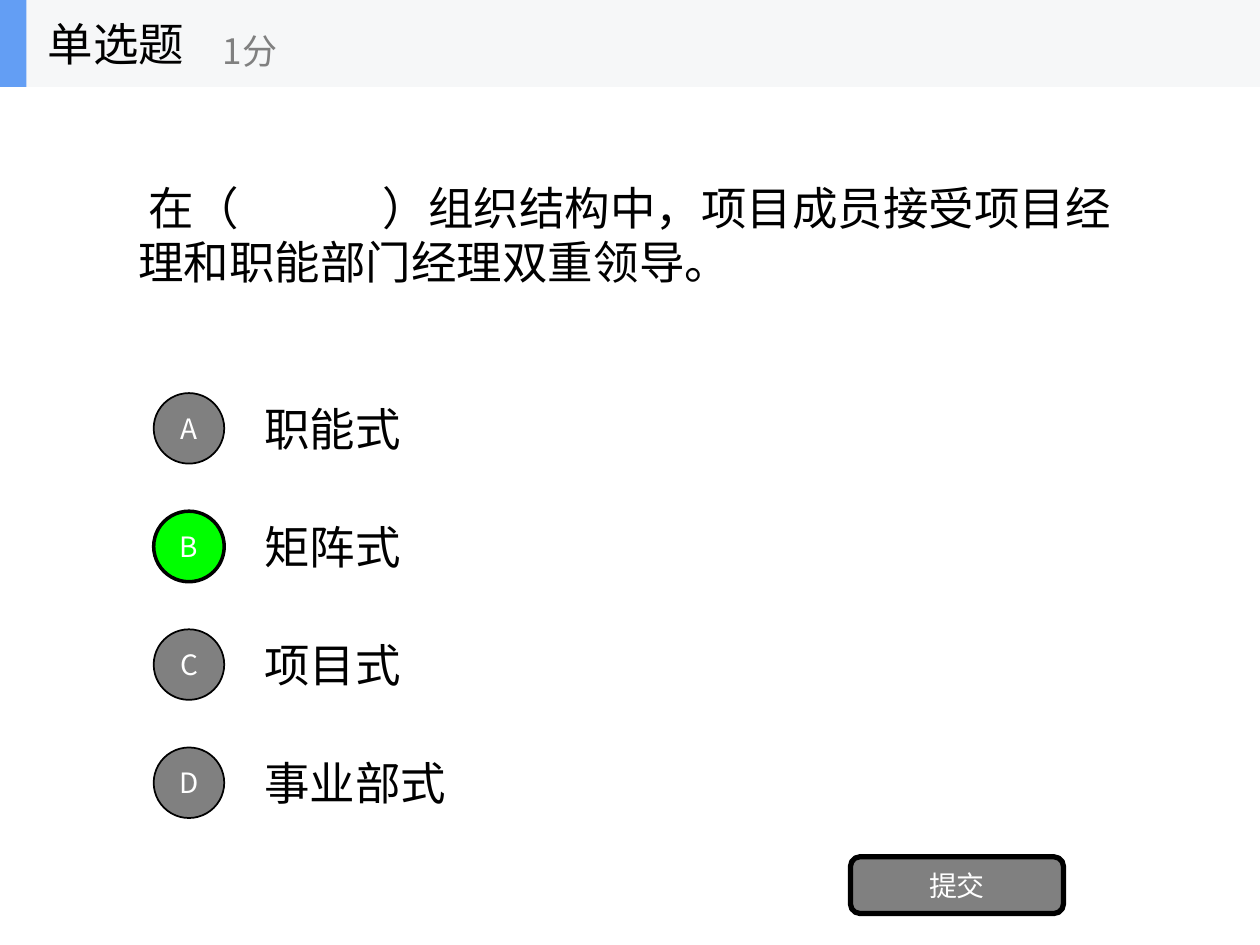
from lxml import etree
from pptx import Presentation
from pptx.dml.color import RGBColor
from pptx.enum.shapes import MSO_SHAPE
from pptx.enum.text import MSO_ANCHOR, PP_ALIGN
from pptx.oxml.ns import qn
from pptx.util import Inches, Pt

RECT, OVAL, ROUND = MSO_SHAPE.RECTANGLE, MSO_SHAPE.OVAL, MSO_SHAPE.ROUNDED_RECTANGLE
MIDDLE, CENTER = MSO_ANCHOR.MIDDLE, PP_ALIGN.CENTER

FONT = "Noto Sans CJK SC"
BLACK, WHITE, GRAY, GREEN = "000000", "FFFFFF", "808080", "00FF00"
PALE, BLUE = "F6F7F8", "639EF4"

TITLE, SCORE = "单选题", "1分"
QUESTION = ["在（", " ", "）组织结构中，项目成员接受项目经理和职能部门经理双重领导。"]
OPTIONS = ["职能式", "矩阵式", "项目式", "事业部式"]
ANSWER = "B"
SUBMIT = "提交"

HEADER_H = 0.69
QUESTION_INDENT = 0.08
GAP_SPACING = 76  # points added to the blank between the brackets
OPTION_TOP, OPTION_STEP, OPTION_H = 3.05, 0.9375, 0.7
CIRCLE = 0.56


def rgb(color):
    return RGBColor.from_string(color)


def write(sp, parts, size, color):
    """Fill the shape with one paragraph that has a run for each part."""
    tf = sp.text_frame
    tf.word_wrap = True
    tf.vertical_anchor = MIDDLE
    tf.text = parts[0]
    p = tf.paragraphs[0]
    for part in parts[1:]:
        p.add_run().text = part
    for r in p.runs:
        r.font.size = Pt(size)
        r.font.name = FONT
        r.font.color.rgb = rgb(color)
        etree.SubElement(r.font._element, qn("a:ea"), typeface=FONT)
    return p


def add_text(shapes, box, parts, size=26, color=BLACK):
    return write(shapes.add_textbox(*map(Inches, box)), parts, size, color)


def add_shape(shapes, kind, box, fill, line=0):
    sp = shapes.add_shape(kind, *map(Inches, box))
    sp.shadow.inherit = False
    sp.fill.solid()
    sp.fill.fore_color.rgb = rgb(fill)
    if line:
        sp.line.color.rgb = rgb(BLACK)
        sp.line.width = Pt(line)
    else:
        sp.line.fill.background()
    return sp


def add_button(shapes, kind, box, text, fill, line):
    sp = add_shape(shapes, kind, box, fill, line)
    write(sp, [text], 16, WHITE).alignment = CENTER
    tf = sp.text_frame
    tf.margin_left = tf.margin_right = 0


prs = Presentation()
prs.slide_width, prs.slide_height = Inches(10), Inches(7.5)
slide = prs.slides.add_slide(prs.slide_layouts[6])
shapes = slide.shapes

question = add_text(shapes, (1, HEADER_H, 8, 2.34), QUESTION)
question._p.get_or_add_pPr().set("indent", str(Inches(QUESTION_INDENT)))
gap = question.runs[1]
gap.font._element.set("spc", str(GAP_SPACING * 100))

for i, (letter, option) in enumerate(zip("ABCD", OPTIONS)):
    top = OPTION_TOP + i * OPTION_STEP
    add_text(shapes, (2, top, 7, OPTION_H), [option])
    fill, line = (GREEN, 2) if letter == ANSWER else (GRAY, 1)
    circle_top = top + (OPTION_H - CIRCLE) / 2
    add_button(shapes, OVAL, (1.22, circle_top, CIRCLE, CIRCLE), letter, fill, line)

add_button(shapes, ROUND, (6.75, 6.8, 1.69, 0.45), SUBMIT, GRAY, 3)

header = shapes.add_group_shape().shapes
add_shape(header, RECT, (0, 0, 10, HEADER_H), PALE)
add_shape(header, RECT, (0, 0, 0.21, HEADER_H), BLUE)
add_text(header, (0.28, 0, 2.08, HEADER_H), [TITLE])
add_text(header, (1.67, 0.12, 2.5, 0.56), [SCORE], 20, GRAY)

prs.save("out.pptx")
